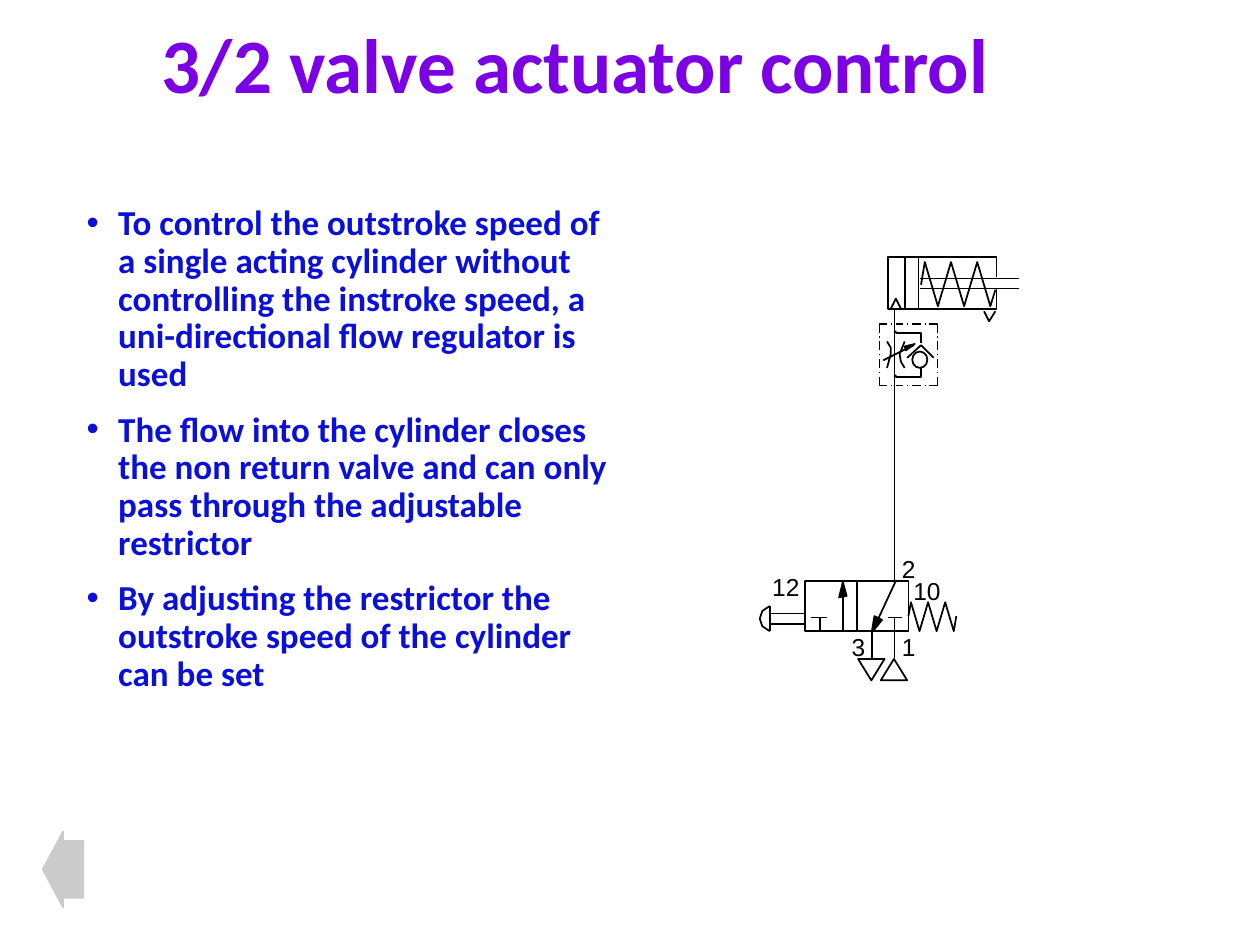
from dataclasses import dataclass, field
from typing import Any

from lxml.etree import SubElement
from pptx import Presentation
from pptx.dml.color import RGBColor
from pptx.enum.shapes import MSO_CONNECTOR as Link, MSO_SHAPE as Preset
from pptx.enum.text import MSO_ANCHOR as Anchor, MSO_AUTO_SIZE as Fit
from pptx.oxml.ns import qn
from pptx.util import Inches, Pt

COLORS = {"title": "7B00E4", "body": "0A0FDA", "ink": "000000", "arrow": "CBCBCB"}
COLUMNS, ROWS = 1000, 750
WIDTH, HEIGHT = Inches(10), Inches(7.5)


def rgb(name):
    return RGBColor.from_string(COLORS[name])


def write(frame, paragraphs, font="Calibri", size=20, color="ink", bold=False,
          spacing=None, gap=0, bullet=None):
    for index, words in enumerate(paragraphs):
        paragraph = frame.paragraphs[0] if index == 0 else frame.add_paragraph()
        if spacing:
            paragraph.line_spacing = spacing
        paragraph.space_before = Pt(gap if index else 0)
        if bullet:
            props = paragraph._p.get_or_add_pPr()
            props.set("marL", str(Inches(0.25)))
            props.set("indent", str(-Inches(0.25)))
            tint = SubElement(props, qn("a:buClr"))
            SubElement(tint, qn("a:srgbClr")).set("val", COLORS[color])
            SubElement(props, qn("a:buFont")).set("typeface", "Arial")
            SubElement(props, qn("a:buChar")).set("char", bullet)
        run = paragraph.add_run()
        run.text = words
        run.font.name, run.font.size, run.font.bold = font, Pt(size), bold
        run.font.color.rgb = rgb(color)


@dataclass
class Diagram:
    """Draws on one slide, with lengths in columns and rows of its grid."""
    slide: Any
    stroke: Any = field(default_factory=lambda: Pt(1))

    def place(self, column, row):
        return round(column * WIDTH / COLUMNS), round(row * HEIGHT / ROWS)

    def finish(self, shape, fill, line):
        shape.shadow.inherit = False
        if fill:
            shape.fill.solid()
            shape.fill.fore_color.rgb = rgb(fill)
        else:
            shape.fill.background()
        shape.line.color.rgb = rgb(line)
        shape.line.width = self.stroke
        return shape

    def text(self, column, row, columns, rows, paragraphs, wrap=True,
             anchor=Anchor.TOP, **style):
        box = self.slide.shapes.add_textbox(*self.place(column, row), *self.place(columns, rows))
        frame = box.text_frame
        frame.word_wrap = wrap
        frame.auto_size = Fit.NONE if wrap else Fit.SHAPE_TO_FIT_TEXT
        frame.vertical_anchor = anchor
        write(frame, paragraphs, **style)

    def preset(self, kind, column, row, columns, rows, fill=None, line="ink"):
        shape = self.slide.shapes.add_shape(
            kind, *self.place(column, row), *self.place(columns, rows))
        return self.finish(shape, fill, line)

    def line(self, x1, y1, x2, y2):
        link = self.slide.shapes.add_connector(
            Link.STRAIGHT, *self.place(x1, y1), *self.place(x2, y2))
        link.line.color.rgb = rgb("ink")
        link.line.width = self.stroke
        SubElement(link._element.spPr, qn("a:effectLst"))
        return link

    def outline(self, *points, fill=None, close=False):
        start, *rest = [self.place(*point) for point in points]
        builder = self.slide.shapes.build_freeform(*start)
        builder.add_line_segments(rest, close=close)
        return self.finish(builder.convert_to_shape(), fill, "ink")


def draw_cylinder(art):
    for y in (221, 229):
        art.line(730, y, 809, y)
    for x in (729, 718):
        art.line(x, 204, x, 246)
    art.outline((791, 220), (791, 204), (705, 204), (705, 245), (791, 245), (791, 229))
    coils = [(786 - 10.4 * turn, 208 if turn % 2 else 243) for turn in range(6)]
    art.outline((790, 230), *coils, (734, 208), (731, 226))
    art.outline((707, 245), (711, 237), (715, 245))
    art.outline((781, 247), (785, 255), (790, 247))
    art.line(710, 246, 710, 460)


def draw_valve(art):
    for x in (710, 692):
        art.line(x, 501, x, 522)
    for stem, left, right in ((710, 705, 716), (651, 644, 656)):
        art.line(stem, 490, stem, 502)
        art.line(left, 490, right, 490)
    art.outline((669, 462), (666, 474), (672, 473), fill="ink", close=True)
    art.outline((692, 502), (692, 501), (694, 489), (700, 492), fill="ink", close=True)
    body = art.preset(Preset.RECTANGLE, 639, 461, 82, 40)
    divider = art.line(680, 461, 680, 501)
    divider.begin_connect(body, 0)
    divider.end_connect(body, 2)
    art.line(711, 461, 692, 502)
    art.line(669, 502, 669, 461)
    ports = (("1", 706, 497, 31), ("2", 706, 435, 31), ("3", 666, 497, 31),
             ("12", 603, 449, 42), ("10", 715, 452, 42))
    for port, x, y, width in ports:
        art.text(x, y, width, 33, [port], wrap=False, font="Arial", size=14)
    art.preset(Preset.ISOSCELES_TRIANGLE, 699, 523, 21, 17)
    art.preset(Preset.ISOSCELES_TRIANGLE, 681, 523, 21, 17).rotation = 180
    spring = [(757 - 6.8 * turn, 478 if turn % 2 else 501) for turn in range(6)]
    art.outline((759, 489), *spring, (721, 489))
    art.line(611, 481, 611, 501)
    art.outline((611, 481), (605, 485), (603, 491), (605, 497), (611, 501))
    for y in (487, 495):
        art.line(612, y, 638, y)


def draw_regulator(art):
    left, right, top, bottom = 698, 744, 257, 306
    for edge, inner, near, middle in ((top, 264, 264, 272), (bottom, 299, 299, 292)):
        art.outline((731, middle), (731, near), (711, near))
        art.preset(Preset.OVAL, 710, near - 1, 1, 1, fill="ink")
        for side, inset in ((left, 704), (right, 737)):
            art.outline((inset, edge), (side, edge), (side, inner))
        for x1, x2 in ((707, 708), (711, 717), (720, 721), (724, 731), (734, 735)):
            art.line(x1, edge, x2, edge)
    for side in (left, right):
        for y1, y2 in ((267, 268), (271, 278), (281, 282), (285, 292), (295, 296)):
            art.line(side, y1, side, y2)
    art.outline((718, 271), (714, 281), (715, 287), (718, 292))
    art.outline((704, 292), (707, 281), (707, 276), (704, 271))
    art.line(701, 286, 725, 274)
    art.outline((726, 273), (718, 275), (719, 278), fill="ink", close=True)
    art.outline((720, 284), (731, 274), (741, 284))
    art.preset(Preset.OVAL, 724, 279, 12, 13)


def main():
    deck = Presentation()
    deck.slide_width, deck.slide_height = WIDTH, HEIGHT
    art = Diagram(deck.slides.add_slide(deck.slide_layouts[6]))
    art.text(118, 14, 747, 81, ["3/2 valve actuator control"], anchor=Anchor.MIDDLE,
             size=44, color="title", bold=True, spacing=0.9)
    points = [
        "To control the outstroke speed of a single acting cylinder without controlling "
        "the instroke speed, a uni-directional flow regulator is used",
        "The flow into the cylinder closes the non return valve and can only pass "
        "through the adjustable restrictor",
        "By adjusting the restrictor the outstroke speed of the cylinder can be set",
    ]
    art.text(59, 158, 433, 492, points, color="body", bold=True, spacing=0.9,
             gap=10, bullet="•")
    draw_cylinder(art)
    draw_valve(art)
    draw_regulator(art)
    back = art.preset(Preset.LEFT_ARROW, 34, 660, 32, 60, fill="arrow", line="arrow")
    back.adjustments[0], back.adjustments[1] = 0.75, 0.5
    deck.save("out.pptx")


if __name__ == "__main__":
    main()
